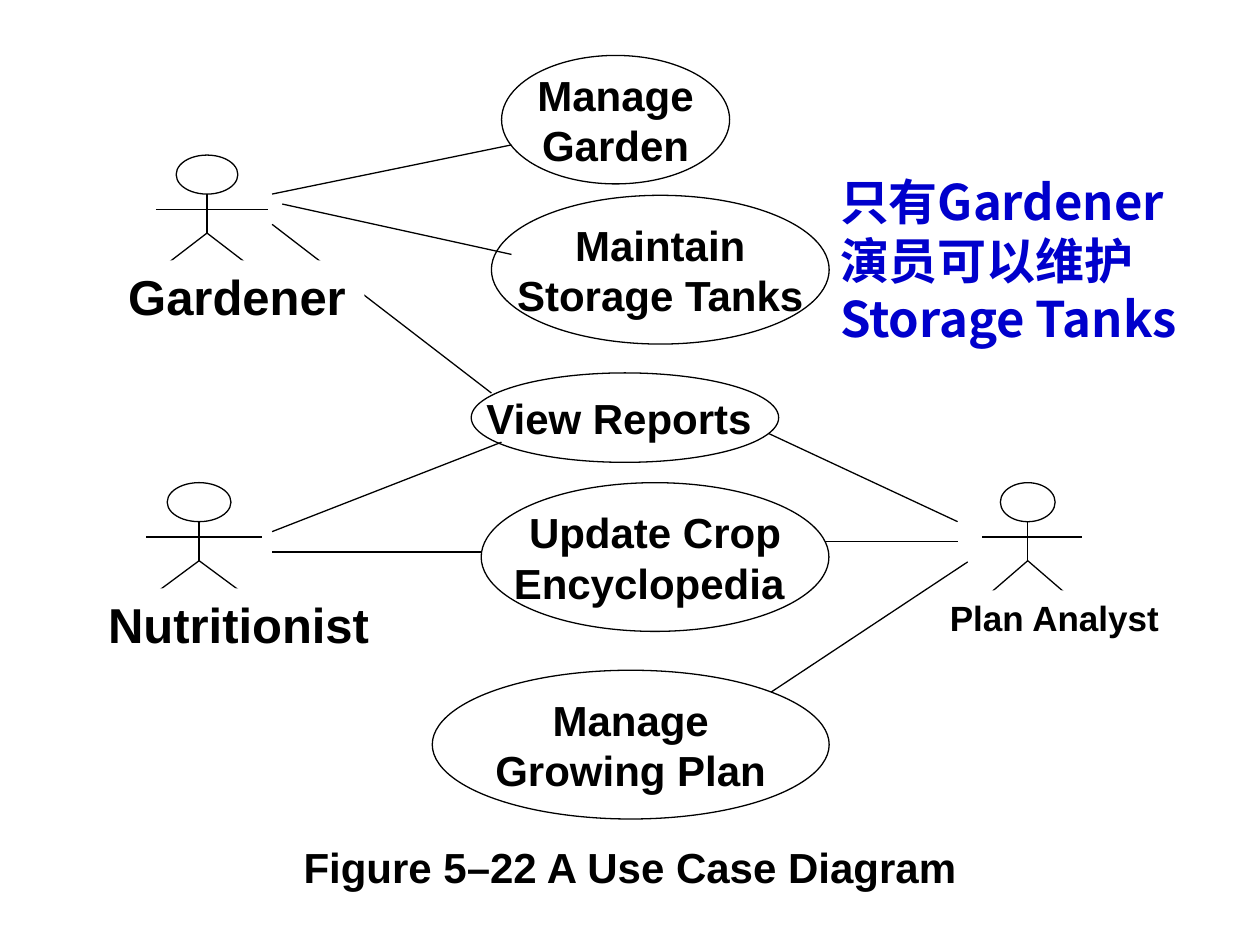
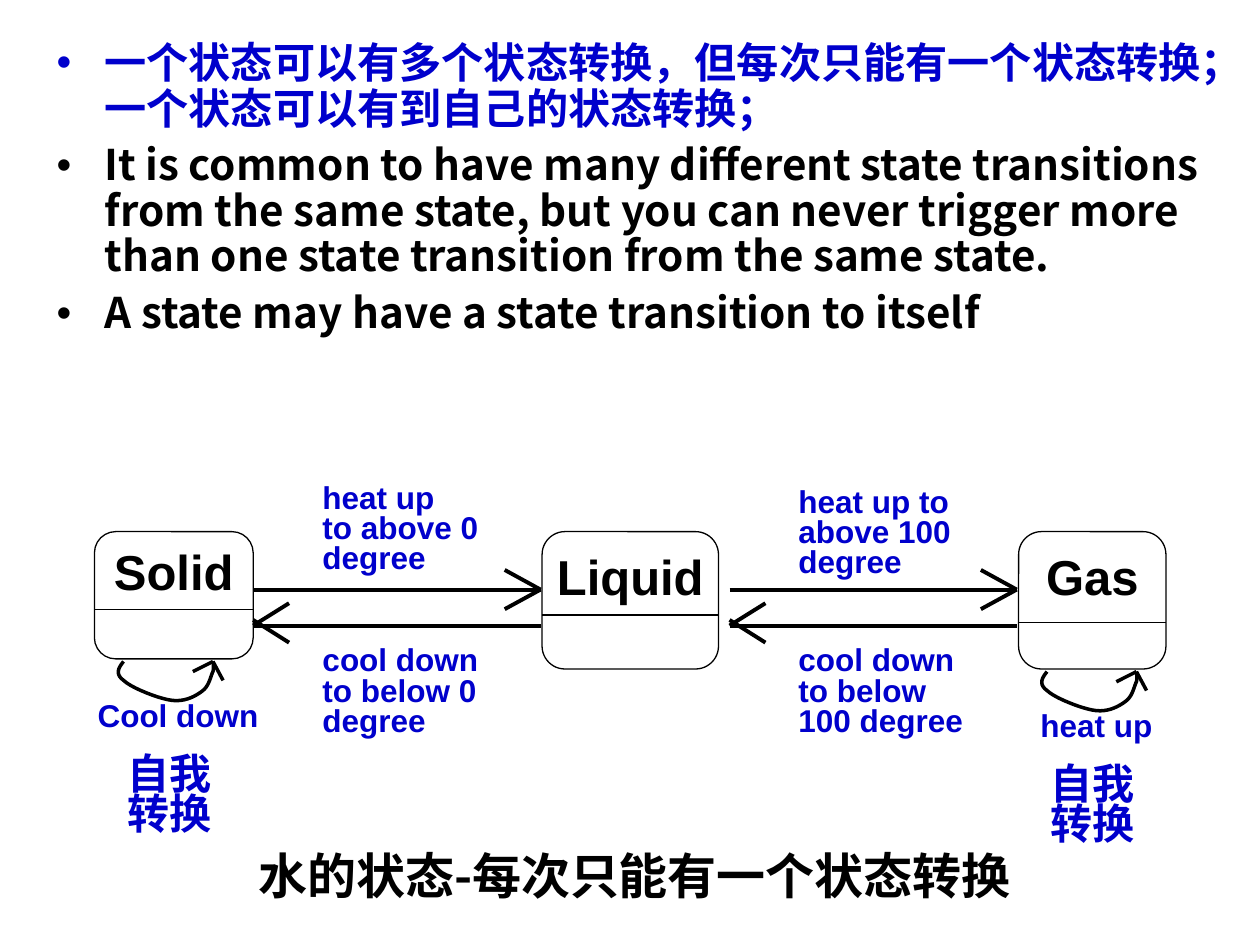
import pptx
import pptx.dml.color
import pptx.enum.shapes
import pptx.enum.text
import pptx.oxml
import pptx.oxml.ns
import pptx.util
from lxml import etree

Pt = pptx.util.Pt
SHAPE = pptx.enum.shapes.MSO_SHAPE
ALIGN = pptx.enum.text.PP_ALIGN
ANCHOR = pptx.enum.text.MSO_ANCHOR
qn = pptx.oxml.ns.qn

LATIN = "Arial"
CJK = "Noto Sans CJK SC"
BLACK = "000000"
WHITE = "FFFFFF"
BLUE = "0000CC"
INSETS = (7.2, 3.6, 7.2, 3.6)
NO_INSETS = (0, 0, 0, 0)

HEAT_WINGS = ((0, -11.2), (0, 11.2))
COOL_WINGS = ((-3.2, 9.7), (0, -12.8))
LOOP_CURVES = (
    ((-2.9, 3.6), (-5, 7.2), (0, 10.8)),
    ((4.3, 15.1), (20.9, 21.6), (28.1, 22.3)),
    ((36, 23), (41.8, 19.4), (45.4, 16.6)),
    ((49, 13.7), (49.7, 8.6), (51.1, 5.8)),
    ((51.8, 2.9), (51.1, 0.7), (51.1, 0)),
)


def rgb(color):
    return pptx.dml.color.RGBColor.from_string(color)


def style_paragraph(p, text, size, color=BLACK, font=LATIN, align=ALIGN.LEFT, spacing=1.0):
    p.add_run().text = text
    p.alignment = align
    p.line_spacing = spacing
    p.font.size = Pt(size)
    p.font.bold = True
    p.font.name = font
    p.font.color.rgb = rgb(color)
    if font == CJK:
        props = p._p.get_or_add_pPr().find(qn("a:defRPr"))
        etree.SubElement(props, qn("a:ea"), typeface=font)


def write(sp, lines, size, insets=INSETS, wrap=True, **style):
    tf = sp.text_frame
    tf.word_wrap = wrap
    tf.margin_left, tf.margin_top, tf.margin_right, tf.margin_bottom = map(Pt, insets)
    for i, line in enumerate(lines):
        p = tf.add_paragraph() if i else tf.paragraphs[0]
        style_paragraph(p, line, size, **style)


def add_text(s, box, lines, size, **style):
    sp = s.shapes.add_textbox(*map(Pt, box))
    write(sp, lines, size, **style)
    return sp


def outline(sp, width, fill=None):
    sp.shadow.inherit = False
    if fill:
        sp.fill.solid()
        sp.fill.fore_color.rgb = rgb(fill)
    else:
        sp.fill.background()
    sp.line.color.rgb = rgb(BLACK)
    sp.line.width = Pt(width)


def add_outlined(s, kind, box, fill=None):
    sp = s.shapes.add_shape(kind, *map(Pt, box))
    outline(sp, 0.75, fill)
    return sp


def add_line(s, x1, y1, x2, y2, width=0.75):
    line = s.shapes.add_connector(
        pptx.enum.shapes.MSO_CONNECTOR.STRAIGHT, Pt(x1), Pt(y1), Pt(x2), Pt(y2))
    line.line.color.rgb = rgb(BLACK)
    line.line.width = Pt(width)
    etree.SubElement(line._element.spPr, qn("a:effectLst"))


def add_use_case(s, box, lines, fill=None):
    sp = add_outlined(s, SHAPE.OVAL, box, fill)
    sp.text_frame.vertical_anchor = ANCHOR.MIDDLE
    write(sp, lines, 24, wrap=False, align=ALIGN.CENTER)


def add_actor(s, x, top, arms, name, label_box, size):
    head, leg = 0.55 * arms, 0.36 * arms
    neck, shoulder, hip, foot = (top + d for d in (22.3, 31, 44.6, 62.3))
    add_outlined(s, SHAPE.OVAL, (x - head / 2, top, head, 22.3), WHITE)
    add_line(s, x - 0.455 * arms, shoulder, x + 0.545 * arms, shoulder)
    add_line(s, x, neck, x, hip)
    for side in (-1, 1):
        add_line(s, x, hip, x + side * leg, foot)
    label = add_text(s, label_box, [name], size)
    label.fill.solid()
    label.fill.fore_color.rgb = rgb(WHITE)


def add_bullets(s, box, items):
    tf = s.shapes.add_textbox(*map(Pt, box)).text_frame
    tf.word_wrap = True
    for i, (text, color) in enumerate(items):
        p = tf.add_paragraph() if i else tf.paragraphs[0]
        props = p._p.get_or_add_pPr()
        props.set("marL", str(Pt(27.4)))
        props.set("indent", str(Pt(-27.4)))
        bullet_color = etree.SubElement(props, qn("a:buClr"))
        etree.SubElement(bullet_color, qn("a:srgbClr"), val=color)
        etree.SubElement(props, qn("a:buFont"), typeface=LATIN)
        etree.SubElement(props, qn("a:buChar"), char="•")
        if i:
            p.space_before = Pt(6.5)
        style_paragraph(p, text, 24.1, color, CJK, spacing=0.9)


def add_state(s, name, left, width, height, divider):
    top = 303.8
    sp = add_outlined(s, SHAPE.ROUNDED_RECTANGLE, (left, top, width, height), WHITE)
    sp.text_frame.vertical_anchor = ANCHOR.MIDDLE
    write(sp, [name], 28, insets=(4.3, 0, 4.3, 28), wrap=False, align=ALIGN.CENTER)
    add_line(s, left, divider, left + width, divider)


def add_transition(s, start, tip, y, wings):
    add_line(s, start, y, tip, y, 2.25)
    back = tip - 20.5 if tip > start else tip + 20.5
    for tip_dy, back_dy in wings:
        add_line(s, tip, y + tip_dy, back, y + back_dy, 2.25)


def curve_points(curves, steps=10):
    start = (0, 0)
    for c1, c2, end in curves:
        for t in (n / steps for n in range(1, steps + 1)):
            u = 1 - t
            yield tuple(
                u**3 * a + 3 * u * u * t * b + 3 * u * t * t * c + t**3 * d
                for a, b, c, d in zip(start, c1, c2, end))
        start = end


def add_self_transition(s, x, y, label, label_left, label_width):
    builder = s.shapes.build_freeform(Pt(x), Pt(y))
    builder.add_line_segments(
        [(Pt(x + dx), Pt(y + dy)) for dx, dy in curve_points(LOOP_CURVES)], close=False)
    outline(builder.convert_to_shape(), 2)
    for dx, dy in ((39.6, 5.8), (56.9, 10.8)):
        add_line(s, x + 51.1, y, x + dx, y + dy, 2)
    add_text(s, (label_left, y + 16, label_width, 28.8), [label], 18, color=BLUE)
    add_text(s, (x - 5, y + 51.1, 72, 53.3), ["自我", "转换"], 24,
             color=BLUE, font=CJK, spacing=0.8)


def build_use_case_slide(s):
    open_use_cases = (
        ((286.6, 31.7, 130.3, 73.4), ["Manage", "Garden"]),
        ((280.8, 111.6, 193, 85), ["Maintain", "Storage Tanks"]),
        ((269.3, 213.1, 175.7, 51.1), ["View Reports "]),
    )
    filled_use_cases = (
        ((247, 383, 226.8, 85), ["Manage", "Growing Plan"]),
        ((275, 275.8, 198.7, 85), ["Update Crop", "Encyclopedia "]),
    )
    for box, lines in open_use_cases:
        add_use_case(s, box, lines)
    associations = (
        (155.5, 110.9, 292.3, 82.8),
        (161.3, 116.6, 292.3, 145.4),
        (155.5, 128.2, 280.8, 224.6),
        (155.5, 303.8, 286.6, 252.7),
        (155.5, 315.4, 275, 315.4),
        (450.7, 309.6, 547.2, 309.6),
        (439.2, 247.7, 547.2, 298.1),
        (553, 321.1, 433.4, 400.3),
    )
    for ends in associations:
        add_line(s, *ends)
    for box, lines in filled_use_cases:
        add_use_case(s, box, lines, WHITE)
    actors = (
        (118.3, 88.6, 64.1, "Gardener", (66.2, 148.8, 142, 41), 28),
        (113.8, 275.8, 66.3, "Nutritionist", (54.7, 336.2, 170, 41), 28),
        (587.3, 275.8, 56.9, "Plan Analyst", (535.7, 337.4, 146, 31.7), 20),
    )
    for actor in actors:
        add_actor(s, *actor)
    add_text(s, (473, 94.3, 221, 108), ["只有Gardener", "演员可以维护Storage Tanks"], 28,
             color=BLUE, font=CJK)
    add_text(s, (36, 483.1, 648, 36.7), ["Figure 5–22 A Use Case Diagram"], 24,
             align=ALIGN.CENTER, spacing=0.8)


def build_state_slide(s):
    add_bullets(s, (25.2, 20.5, 672, 236.2), (
        ("一个状态可以有多个状态转换，但每次只能有一个状态转换；一个状态可以有到自己的状态转换；", BLUE),
        ("It is common to have many different state transitions from the same state, "
         "but you can never trigger more than one state transition from the same state.", BLACK),
        ("A state may have a state transition to itself", BLACK),
    ))
    add_text(s, (115.9, 479.5, 493.2, 41), ["水的状态-每次只能有一个状态转换"], 28,
             font=CJK, align=ALIGN.CENTER)
    states = (
        ("Solid", 54, 90.7, 72.7, 348.2),
        ("Liquid", 309.8, 100.8, 78.5, 351.4),
        ("Gas", 582.1, 84.2, 78.5, 355.7),
    )
    for state in states:
        add_state(s, *state)
    labels = (
        ((184.3, 277.2, 92, 51.8), ["heat up", "to above 0 degree"]),
        ((456.3, 279.4, 96.5, 51.8), ["heat up to above 100 degree"]),
        ((184.3, 370.1, 100, 51.8), ["cool down", "to below 0 degree"]),
        ((456.3, 370.1, 100, 51.8), ["cool down", "to below 100 degree"]),
    )
    for box, lines in labels:
        add_text(s, box, lines, 18, insets=NO_INSETS, color=BLUE, spacing=0.8)
    for left, right in ((144.7, 308.9), (416.9, 581)):
        add_transition(s, left, right, 336.9, HEAT_WINGS)
        add_transition(s, right, left, 357.5, COOL_WINGS)
    add_self_transition(s, 598.3, 383.8, "heat up", 587.5, 88)
    add_self_transition(s, 70.6, 378, "Cool down", 48.7, 116)


def main():
    prs = pptx.Presentation()
    prs.slide_width, prs.slide_height = Pt(720), Pt(540)
    for build in (build_use_case_slide, build_state_slide):
        build(prs.slides.add_slide(prs.slide_layouts[6]))
    prs.save("out.pptx")


if __name__ == "__main__":
    main()
